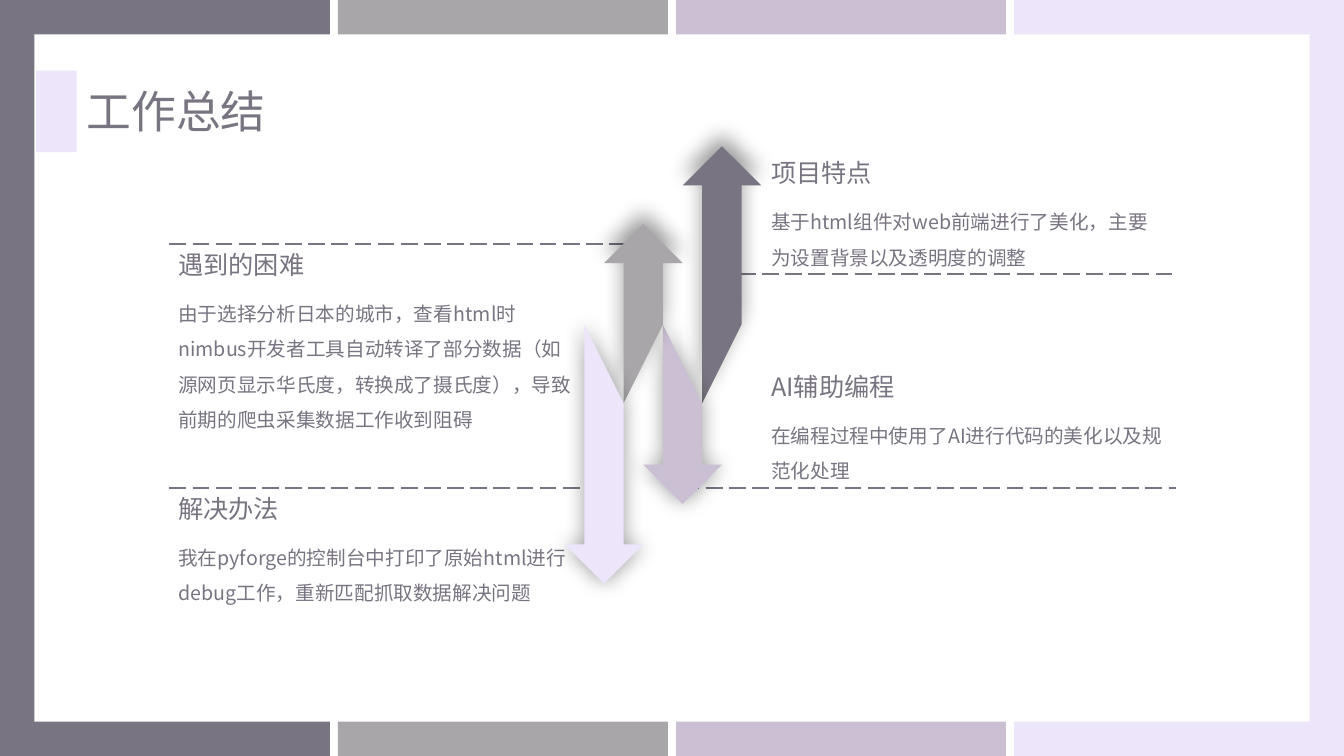
from lxml import etree
from pptx import Presentation
from pptx.dml.color import RGBColor
from pptx.enum.dml import MSO_LINE
from pptx.enum.shapes import MSO_CONNECTOR, MSO_SHAPE
from pptx.oxml.ns import qn
from pptx.util import Inches, Pt

RECTANGLE = MSO_SHAPE.RECTANGLE
STRAIGHT = MSO_CONNECTOR.STRAIGHT
LONG_DASH = MSO_LINE.LONG_DASH

FONT = "Noto Sans CJK SC"
COLORS = {
    "slate": "787481",
    "gray": "A9A6AA",
    "mauve": "CBBFD3",
    "lilac": "EDE5FA",
    "white": "FFFFFF",
    "black": "000000",
}
WIDTH, HEIGHT = 13.33, 7.5

# Heading, body, (left, top, body width, body height), line (start, end, y)
TOPICS = [
    ("项目特点", "基于html组件对web前端进行了美化，主要为设置背景以及透明度的调整",
     (7.55, 1.51, 4.1, 0.77), (7.33, 11.66, 2.72)),
    ("遇到的困难",
     "由于选择分析日本的城市，查看html时nimbus开发者工具自动转译了部分数据"
     "（如源网页显示华氏度，转换成了摄氏度），导致前期的爬虫采集数据工作收到阻碍",
     (1.67, 2.42, 4.12, 1.48), (1.68, 6.22, 2.42)),
    ("AI辅助编程", "在编程过程中使用了AI进行代码的美化以及规范化处理",
     (7.55, 3.63, 4.1, 0.77), (6.77, 11.66, 4.84)),
    ("解决办法", "我在pyforge的控制台中打印了原始html进行debug工作，重新匹配抓取数据解决问题",
     (1.67, 4.84, 4.12, 0.77), (1.68, 5.99, 4.84)),
]

# Colour, tip height, direction (1 points up, -1 points down), right to left
ARROWS = [
    ("slate", 1.45, 1),
    ("mauve", 5.0, -1),
    ("gray", 2.22, 1),
    ("lilac", 5.79, -1),
]


def set_fill(shape, color):
    shape.fill.solid()
    shape.fill.fore_color.rgb = RGBColor.from_string(COLORS[color])
    shape.line.fill.background()
    shape.shadow.inherit = False


def add_rectangle(slide, left, top, width, height, color):
    shape = slide.shapes.add_shape(
        RECTANGLE, Inches(left), Inches(top), Inches(width), Inches(height))
    set_fill(shape, color)


def add_text(slide, left, top, width, height, text, size, spacing=1.0):
    box = slide.shapes.add_textbox(
        Inches(left), Inches(top), Inches(width), Inches(height))
    box.text_frame.word_wrap = True
    box.text_frame.text = text
    paragraph = box.text_frame.paragraphs[0]
    paragraph.line_spacing = spacing
    run = paragraph.runs[0]
    run.font.size = Pt(size)
    run.font.name = FONT
    run.font.color.rgb = RGBColor.from_string(COLORS["slate"])
    east_asian = etree.SubElement(run.font._element, qn("a:ea"))
    east_asian.set("typeface", FONT)


def add_soft_shadow(shape, rise):
    """Blurred shadow, lifted by the given number of points."""
    effects = shape._element.spPr.find(qn("a:effectLst"))
    shadow = etree.SubElement(effects, qn("a:outerShdw"), blurRad=str(Pt(15)),
                              dist=str(Pt(rise)), dir="16200000", algn="ctr",
                              rotWithShape="0")
    color = etree.SubElement(shadow, qn("a:srgbClr"), val=COLORS["black"])
    etree.SubElement(color, qn("a:alpha"), val="40000")


def add_frame(slide, width, height):
    """Four colour bands behind a white panel."""
    gap, border = 0.08, 0.34
    band_width = (width - 3 * gap) / 4
    for index, color in enumerate(("slate", "gray", "mauve", "lilac")):
        add_rectangle(slide, index * (band_width + gap), 0,
                      band_width, height, color)
    add_rectangle(slide, border, border,
                  width - 2 * border, height - 2 * border, "white")


def add_topic(slide, heading, body, box, rule):
    """Dashed rule with a heading and a body text."""
    start, end, y = rule
    line = slide.shapes.add_connector(
        STRAIGHT, Inches(start), Inches(y), Inches(end), Inches(y))
    line.line.color.rgb = RGBColor.from_string(COLORS["slate"])
    line.line.width = Pt(1.5)
    line.line.dash_style = LONG_DASH
    etree.SubElement(line._element.spPr, qn("a:effectLst"))

    left, top, width, body_height = box
    add_text(slide, left, top, 3.34, 0.4, heading, 18)
    add_text(slide, left, top + 0.41, width, body_height, body, 14, 1.5)


def add_arrow(slide, center, tip, direction, cut_top, cut_bottom, color):
    """Arrow whose tail is cut on a slant between two heights."""
    head, shaft = 0.39, 0.195
    neck = tip + direction * head
    right_end, left_end = ((cut_top, cut_bottom) if direction > 0
                           else (cut_bottom, cut_top))
    outline = [
        (center, tip), (center + head, neck), (center + shaft, neck),
        (center + shaft, right_end), (center - shaft, left_end),
        (center - shaft, neck), (center - head, neck),
    ]
    points = [(Inches(x), Inches(y)) for x, y in outline]
    builder = slide.shapes.build_freeform(*points[0], scale=1.0)
    builder.add_line_segments(points[1:], close=True)
    shape = builder.convert_to_shape()
    set_fill(shape, color)
    add_soft_shadow(shape, 8 if direction > 0 else 0)


def add_arrows(slide, right, cut_top, cut_bottom):
    step = 0.39
    for index, (color, tip, direction) in enumerate(ARROWS):
        add_arrow(slide, right - (index + 1) * step, tip, direction,
                  cut_top, cut_bottom, color)


def add_title(slide, left, top, text):
    """Colour tab with the slide title beside it."""
    add_rectangle(slide, left, top, 0.4, 0.81, "lilac")
    add_text(slide, left + 0.4, top + 0.08, 4.59, 0.64, text, 32)


def main():
    presentation = Presentation()
    presentation.slide_width = Inches(WIDTH)
    presentation.slide_height = Inches(HEIGHT)
    slide = presentation.slides.add_slide(presentation.slide_layouts[6])

    add_frame(slide, WIDTH, HEIGHT)
    for topic in TOPICS:
        add_topic(slide, *topic)
    add_arrows(slide, 7.55, 3.22, 4.0)
    add_title(slide, 0.36, 0.7, "工作总结")

    presentation.save("out.pptx")


if __name__ == "__main__":
    main()
